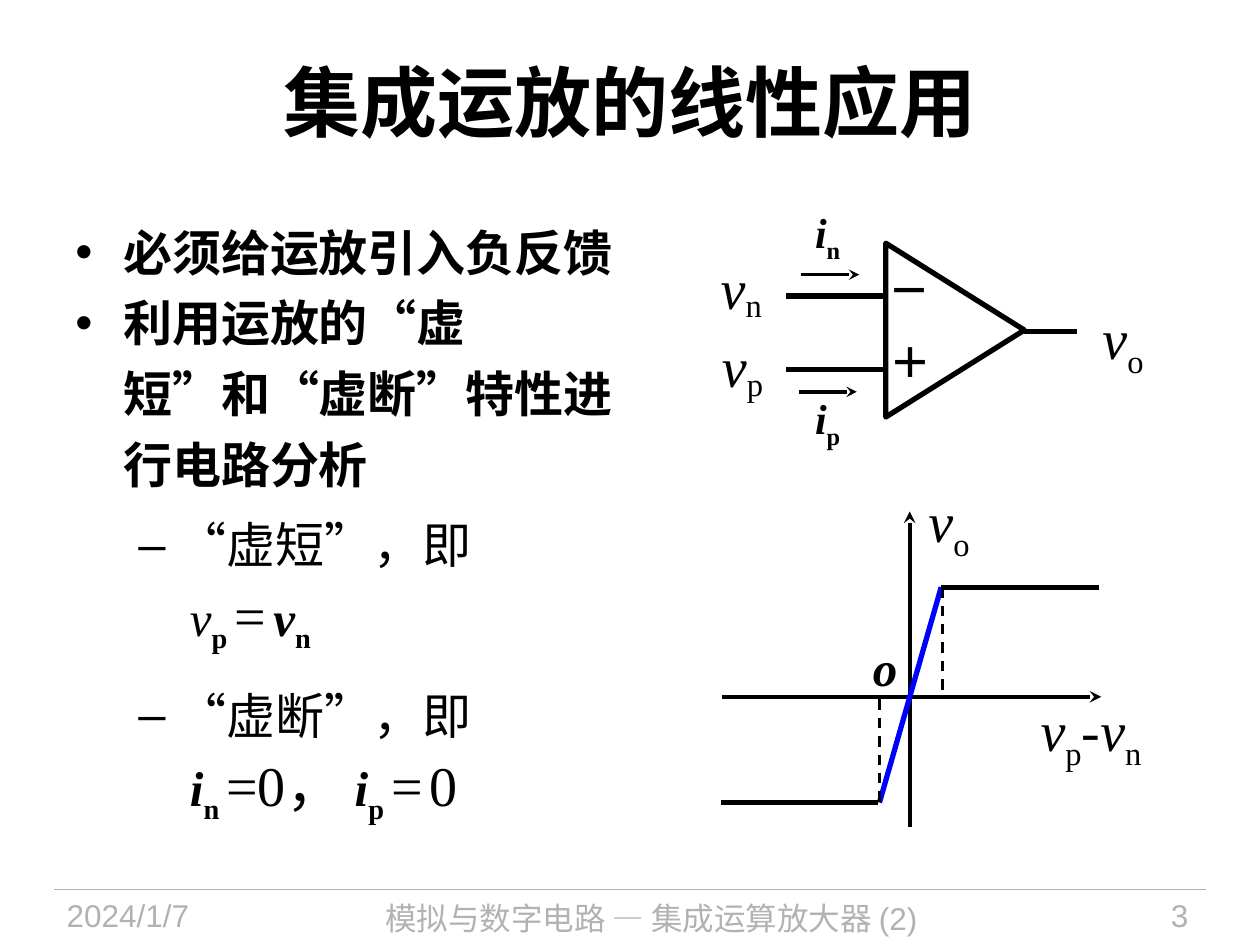
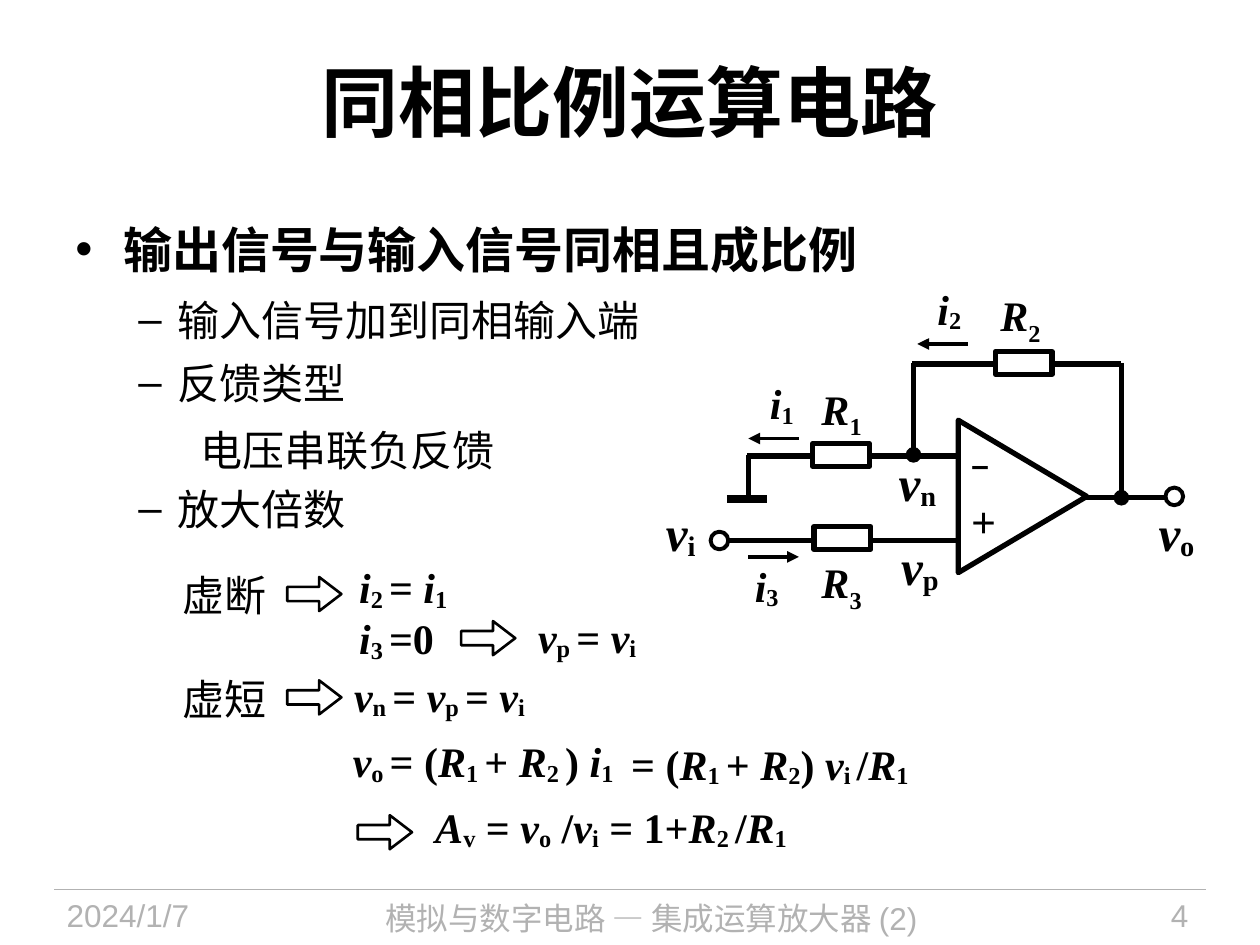
from lxml import etree
from pptx import Presentation
from pptx.dml.color import RGBColor
from pptx.enum.dml import MSO_LINE
from pptx.enum.shapes import MSO_CONNECTOR, MSO_SHAPE
from pptx.enum.text import MSO_ANCHOR, MSO_AUTO_SIZE, PP_ALIGN
from pptx.oxml.ns import qn
from pptx.util import Inches, Pt

LEFT, CENTER, RIGHT = PP_ALIGN.LEFT, PP_ALIGN.CENTER, PP_ALIGN.RIGHT
TOP, MIDDLE = MSO_ANCHOR.TOP, MSO_ANCHOR.MIDDLE
GROW, FIXED = MSO_AUTO_SIZE.SHAPE_TO_FIT_TEXT, MSO_AUTO_SIZE.NONE
STRAIGHT, DASH = MSO_CONNECTOR.STRAIGHT, MSO_LINE.DASH
RECT, OVAL = MSO_SHAPE.RECTANGLE, MSO_SHAPE.OVAL
TRIANGLE, ARROW = MSO_SHAPE.ISOSCELES_TRIANGLE, MSO_SHAPE.RIGHT_ARROW

COLORS = {"ink": "000000", "paper": "FFFFFF", "footer": "B2B2B2", "gain": "0000FF"}
SANS, HAN, SERIF = "Arial", "Noto Sans CJK SC", "Times New Roman"
SYMBOLS = {"v", "i", "o", "R", "A"}
HAN_LINE = 1.3  # line height of a Chinese label, in font sizes


def color(name):
    return RGBColor.from_string(COLORS[name])


class Builder:
    """Holds the style and the slide being filled."""

    def __init__(self):
        self.deck = Presentation()
        self.deck.slide_width, self.deck.slide_height = Inches(10), Inches(7.5)
        self.slide = None

    def new_slide(self, title, number):
        self.slide = self.deck.slides.add_slide(self.deck.slide_layouts[6])
        self.line((0.43, 7.06), (9.57, 7.06), 0.75, "footer")
        footers = [
            ((0.43, 7.06, 1.88, 0.44), "2024/1/7", LEFT, None),
            ((2.49, 7.06, 5.36, 0.44), "模拟与数字电路 — 集成运算放大器 (2)", CENTER, Pt(18 * HAN_LINE)),
            ((8.2, 7.06, 1.33, 0.44), str(number), RIGHT, None),
        ]
        for at, words, align, spacing in footers:
            self.label(at, words, 18, "footer", align=align, spacing=spacing, wrap=True)
        self.label((0.5, 0.17, 9, 1.25), title, 44, bold=True, anchor=MIDDLE, wrap=True)

    # Text
    def frame(self, at, inset=True, wrap=False, grow=True, anchor=TOP):
        box = self.slide.shapes.add_textbox(*map(Inches, at))
        frame = box.text_frame
        frame.word_wrap, frame.vertical_anchor = wrap, anchor
        frame.auto_size = GROW if grow else FIXED
        if not inset:
            frame.margin_left = frame.margin_right = 0
            frame.margin_top = frame.margin_bottom = 0
        return frame

    def run(self, para, words, size, font=SANS, tone="ink", bold=False, italic=False, sub=0):
        span = para.add_run()
        span.text = words
        span.font.size, span.font.bold, span.font.italic = Pt(size), bold, italic
        span.font.color.rgb = color(tone)
        span.font.name = font
        props = span._r.get_or_add_rPr()
        etree.SubElement(props, qn("a:ea")).set("typeface", HAN)
        if sub:
            props.set("baseline", str(-1000 * sub))

    def label(self, at, words, size=24, tone="ink", bold=False, align=CENTER,
              spacing=None, inset=True, wrap=False, anchor=TOP):
        para = self.frame(at, inset, wrap, not wrap, anchor).paragraphs[0]
        para.alignment = align
        if spacing:
            para.line_spacing = spacing
        self.run(para, words, size, tone=tone, bold=bold)

    def formula_runs(self, para, formula, size, bold=True, sub=10):
        """Parts are split by |: _ marks a subscript, ^ a larger light part, ~ a light part."""
        for part in formula.split("|"):
            mark = part[0] if part[0] in "_^~" else ""
            words = part[len(mark):]
            self.run(para, words, size + 4 if mark == "^" else size, SERIF,
                     bold=bold and mark not in ("^", "~"),
                     italic=mark in ("", "~") and words in SYMBOLS,
                     sub=sub if mark == "_" else 0)

    def formula(self, at, *lines, size=24, bold=True, sub=10, align=LEFT,
                spacing=None, inset=False, wrap=False):
        frame = self.frame(at, inset, wrap)
        for index, line in enumerate(lines):
            para = frame.add_paragraph() if index else frame.paragraphs[0]
            para.alignment = align
            if spacing:
                para.line_spacing = spacing
            self.formula_runs(para, line, size, bold, sub)

    def body(self, at, items, font):
        """Items: kind (•, – or = for a formula), words, size, line height, space before, after."""
        frame = self.frame(at, wrap=True, grow=False)
        indents = {"•": (0.38, -0.38), "–": (0.81, -0.31), "=": (0.91, 0)}
        for index, (kind, words, size, height, before, after) in enumerate(items):
            para = frame.add_paragraph() if index else frame.paragraphs[0]
            para.line_spacing = Pt(height)
            para.space_before, para.space_after = Pt(before), Pt(after)
            props = para._p.get_or_add_pPr()
            margin, hanging = indents[kind]
            props.set("marL", str(Inches(margin)))
            props.set("indent", str(Inches(hanging)))
            if kind == "=":
                self.formula_runs(para, words, size, sub=25)
                continue
            etree.SubElement(props, qn("a:buFont")).set("typeface", SANS)
            etree.SubElement(props, qn("a:buChar")).set("char", kind)
            self.run(para, words, size, font, bold=kind == "•")

    # Drawing
    def line(self, start, end, width=3, tone="ink", head=None, tail=None, dash=False):
        link = self.slide.shapes.add_connector(STRAIGHT, *map(Inches, start + end))
        link.line.width = Pt(width)
        link.line.color.rgb = color(tone)
        if dash:
            link.line.dash_style = DASH
        outline = link.line._get_or_add_ln()
        for tag, tip in (("a:headEnd", head), ("a:tailEnd", tail)):
            if tip:
                etree.SubElement(outline, qn(tag)).set("type", tip)
        etree.SubElement(link._element.spPr, qn("a:effectLst"))

    def shape(self, kind, at, width=3, fill=None, turn=0, adjust=()):
        shape = self.slide.shapes.add_shape(kind, *map(Inches, at))
        shape.shadow.inherit = False
        shape.rotation = turn
        for index, value in enumerate(adjust):
            shape.adjustments[index] = value
        if fill:
            shape.fill.solid()
            shape.fill.fore_color.rgb = color(fill)
        else:
            shape.fill.background()
        shape.line.width = Pt(width)
        shape.line.color.rgb = color("ink")

    def resistor(self, left, top):
        self.shape(RECT, (left, top, 0.45, 0.18), fill="paper")

    def terminal(self, left, top):
        self.shape(OVAL, (left, top, 0.14, 0.14), 2.25, "paper")

    def implies(self, left, top):
        self.shape(ARROW, (left, top, 0.43, 0.27), 1.5, adjust=(0.418, 0.654))


def linear_use(page):
    page.new_slide("集成运放的线性应用", 3)
    page.body((0.5, 1.62, 4.54, 5.36), [
        ("•", "必须给运放引入负反馈", 28, 40.4, 0, 0),
        ("•", "利用运放的“虚短”和“虚断”特性进行电路分析", 28, 40.4, 0, 0),
        ("–", "“虚短”，即", 28, 40.4, 5.6, 0),
        ("=", "~v|_p |^=|_ |v|_n", 28, 40.4, 5.6, 5.6),
        ("–", "“虚断”，即", 28, 40.4, 5.6, 0),
        ("=", "i|_n |^=0， |i|_p |^=|_ |^0", 28, 40.4, 5.6, 0),
    ], HAN)

    # Transfer curve
    page.line((7.22, 6.56), (7.22, 4.06), 2.25, tail="stealth")
    page.line((5.73, 5.53), (8.74, 5.53), 2.25, tail="stealth")
    page.line((7.47, 4.66), (6.98, 6.37), tone="gain")
    page.line((7.47, 4.66), (8.72, 4.66))
    page.line((5.72, 6.37), (6.97, 6.37))
    page.line((6.98, 5.55), (6.98, 6.39), 1.5, dash=True)
    page.line((7.48, 4.66), (7.48, 5.55), 1.5, dash=True)
    page.formula((8.16, 5.29, 1.25, 0.79), "v|_p|-|v|_n", size=32, bold=False, sub=25,
                 spacing=1.3, inset=True, wrap=True)
    page.formula((6.83, 5.01, 0.4, 0.57), "o", size=28, inset=True)
    page.formula((7.27, 3.87, 0.72, 0.53), "v|_o", size=32, bold=False, sub=25,
                 spacing=0.8, inset=True, wrap=True)

    # Operational amplifier
    for left, top, formula, sub in ((5.72, 1.9, "v|_n", 15), (5.73, 2.52, "v|_p", 15),
                                    (8.75, 2.29, "v|_o", 25)):
        page.formula((left, top, 0.34, 0.64), formula, size=32, bold=False, sub=sub, spacing=1.2)
    for at, sign in (((6.82, 2.62, 0.81, 0.5), "＋"), ((6.86, 2.05, 0.72, 0.5), "－")):
        page.label(at, sign, bold=True, inset=False, wrap=True, anchor=MIDDLE)
    for y in (2.35, 2.93):
        page.line((6.24, y), (7.05, y))
    page.line((8.13, 2.63), (8.55, 2.63))
    page.shape(TRIANGLE, (6.89, 2.07, 1.38, 1.1), turn=90)
    for formula, top, left, y in (("i|_n", 1.59, 6.36, 2.18), ("i|_p", 3.07, 6.34, 3.11)):
        page.formula((6.37, top, 0.58, 0.5), formula, sub=25, inset=True, wrap=True)
        page.line((left, y), (left + 0.46, y), 2, tail="stealth")


def noninverting(page):
    page.new_slide("同相比例运算电路", 4)
    page.body((0.5, 1.66, 6.63, 5.32), [
        ("•", "输出信号与输入信号同相且成比例", 28, 36, 0, 9),
        ("–", "输入信号加到同相输入端", 24, 28.8, 0, 7.2),
        ("–", "反馈类型", 24, 28.8, 0, 43.2),
        ("–", "放大倍数", 24, 28.8, 0, 7.2),
    ], SANS)

    # Wires
    page.line((5.93, 3.62), (7.6, 3.62))
    page.line((5.78, 4.29), (7.59, 4.29))
    page.line((8.62, 3.95), (9.25, 3.95))
    page.line((5.94, 3.61), (5.94, 3.95))
    page.line((5.77, 3.96), (6.09, 3.96), 4.5)
    page.line((7.24, 2.89), (8.9, 2.89))
    page.line((8.9, 2.88), (8.9, 3.95), tail="oval")
    page.line((7.25, 2.88), (7.25, 3.61), tail="oval")

    # Parts
    page.terminal(5.64, 4.22)
    page.terminal(9.25, 3.87)
    for left, top in ((6.45, 3.52), (7.9, 2.79), (6.46, 4.18)):
        page.resistor(left, top)
    page.shape(TRIANGLE, (7.51, 3.43, 1.21, 1.02), turn=90)
    page.label((7.71, 3.93, 0.19, 0.4), "+", align=LEFT, inset=False, anchor=MIDDLE)
    page.label((7.71, 3.53, 0.14, 0.3), "–", 18, bold=True, align=LEFT, inset=False, anchor=MIDDLE)

    # Voltages, resistors and currents
    for at, name in (((7.13, 4.26, 0.32, 0.47), "p"), ((7.11, 3.59, 0.32, 0.47), "n"),
                     ((9.18, 3.99, 0.3, 0.47), "o"), ((5.28, 3.99, 0.24, 0.47), "i")):
        page.formula(at, f"v|_{name}", size=28, align=RIGHT)
    for number, left, top in ((1, 6.52, 3.04), (2, 7.94, 2.3), (3, 6.52, 4.42)):
        page.formula((left, top, 0.33, 0.4), f"R|_{number}", sub=25)
    for number, left, top, x, y in ((1, 6.1, 3, 5.94, 3.48), (2, 7.43, 2.25, 7.28, 2.73),
                                    (3, 5.98, 4.45, 5.94, 4.42)):
        page.formula((left, top, 0.2, 0.4), f"i|_{number}", align=RIGHT)
        tip = {"tail" if number == 3 else "head": "triangle"}
        page.line((x, y), (x + 0.4, y), 2.25, **tip)

    # Derivation of the gain
    for at, words in (((1.49, 3.29, 2.53, 0.5), "电压串联负反馈"),
                      ((1.35, 4.44, 0.87, 0.5), "虚断"), ((1.35, 5.26, 0.87, 0.5), "虚短")):
        page.label(at, words, spacing=Pt(24 * HAN_LINE))
    for left, top in ((2.28, 4.58), (3.66, 4.93), (2.28, 5.4), (2.84, 6.47)):
        page.implies(left, top)
    page.formula((2.85, 4.46, 0.82, 0.8), "i|_2 |= |i|_1", "i|_3 |=0")
    page.formula((4.27, 4.85, 0.81, 0.4), "v|_p |= |v|_i")
    page.formula((2.81, 5.32, 1.49, 0.4), "v|_n |= |v|_p |= |v|_i")
    page.formula((2.8, 5.84, 2.09, 0.4), "v|_o |= (|R|_1 |+ |R|_2 |) |i|_1")
    page.formula((4.9, 5.81, 2.42, 0.5), "= (|R|_1 |+ |R|_2|) |v|_i |/|R|_1",
                 align=CENTER, inset=True)
    page.formula((3.32, 6.31, 3.06, 0.5), "A|_v| = |v|_o| /|v|_i| = 1+|R|_2 |/|R|_1",
                 align=CENTER, inset=True)


def main():
    page = Builder()
    linear_use(page)
    noninverting(page)
    page.deck.save("out.pptx")


if __name__ == "__main__":
    main()
